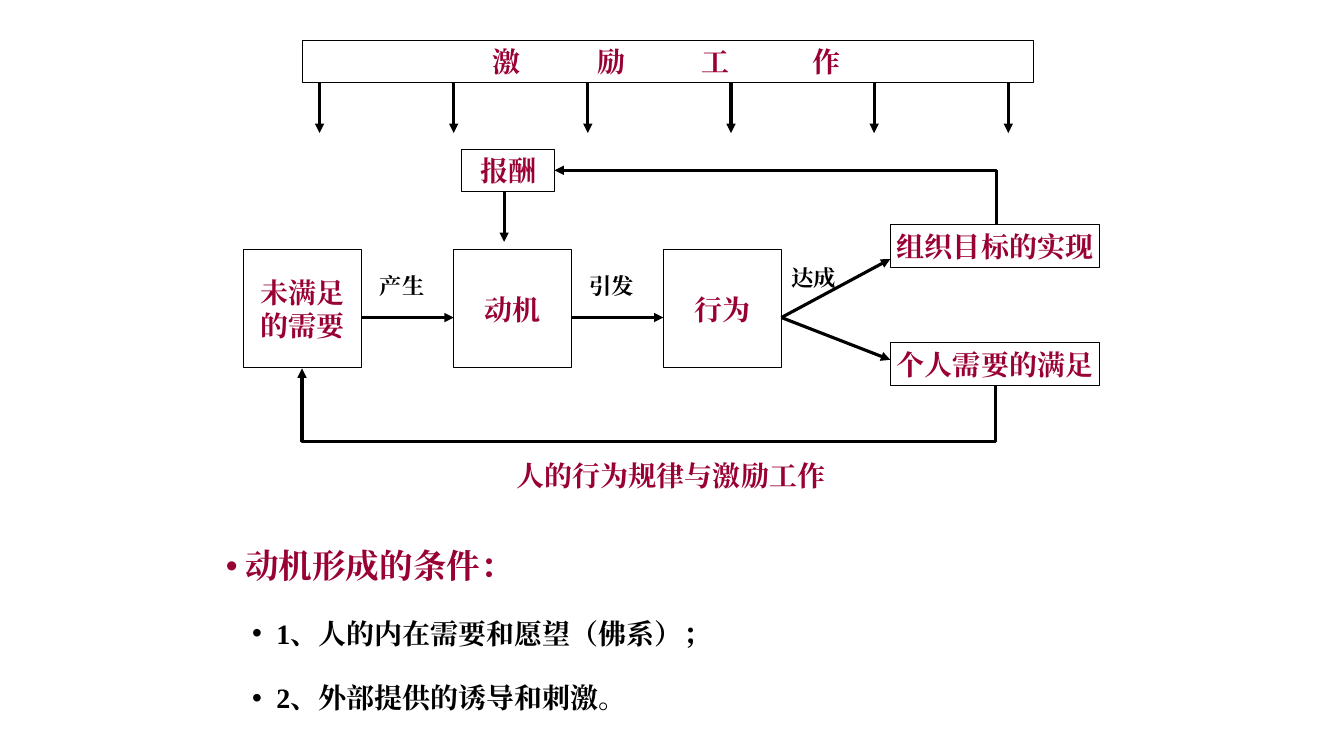
"""Build the slide on behaviour and motivation work."""
from dataclasses import dataclass

from lxml import etree
from pptx import Presentation
from pptx.dml.color import RGBColor
from pptx.enum.shapes import MSO_CONNECTOR, MSO_SHAPE
from pptx.enum.text import MSO_ANCHOR, MSO_AUTO_SIZE, PP_ALIGN
from pptx.oxml.ns import qn
from pptx.util import Inches, Pt

STRAIGHT, ELBOW = MSO_CONNECTOR.STRAIGHT, MSO_CONNECTOR.ELBOW
RECTANGLE = MSO_SHAPE.RECTANGLE
MIDDLE, TOP = MSO_ANCHOR.MIDDLE, MSO_ANCHOR.TOP
CENTER, LEFT = PP_ALIGN.CENTER, PP_ALIGN.LEFT
NO_FIT = MSO_AUTO_SIZE.NONE


@dataclass(frozen=True)
class Theme:
    """Colours, font and type sizes."""
    accent: RGBColor = RGBColor(0x99, 0x00, 0x33)
    ink: RGBColor = RGBColor(0, 0, 0)
    paper: RGBColor = RGBColor(255, 255, 255)
    font: str = "Times New Roman"
    heading: int = 24
    text: int = 20
    label: int = 16
    border: float = 0.75
    arrow: float = 2.25


THEME = Theme()
CAPTION = "人的行为规律与激励工作"
BANNER = "激励工作"
BANNER_TABS = (1.93, 2.97, 4.0, 5.1)
STAGES = ("未满足\n的需要", "动机", "行为")
STAGE_LABELS = ("产生", "引发")
REACH_LABEL = "达成"
OUTCOMES = (("组织目标的实现", 2.23, 2.57), ("个人需要的满足", 3.4, 3.57))
REWARD = "报酬"
CONDITIONS = (
    ("动机形成的条件：", 0, THEME.heading, THEME.accent, 0.19, 0.19),
    ("1、人的内在需要和愿望（佛系）；", 1, THEME.text, THEME.ink, 0.5, 0.24),
    ("2、外部提供的诱导和刺激。", 1, THEME.text, THEME.ink, 0.5, 0.24),
)

STAGE_LEFT, STAGE_TOP, STAGE_SIZE, STAGE_STEP = 2.42, 2.48, 1.17, 2.08
FLOW_Y = 3.15
OUTCOME_LEFT, OUTCOME_WIDTH, BAR_HEIGHT = 8.83, 2.08, 0.42
BANNER_TOP, REWARD_TOP, DROP = 0.4, 1.48, 0.5
DROP_XS = (3.17, 4.5, 5.83, 7.25, 8.67, 10)


def style(paragraph, size, color):
    for run in paragraph.runs:
        run.font.size, run.font.bold, run.font.name = Pt(size), True, THEME.font
        run.font.color.rgb = color
        etree.SubElement(run.font._element, qn("a:ea"), typeface=THEME.font)


def add_box(slide, text, left, top, width, height):
    box = slide.shapes.add_shape(RECTANGLE, *map(Inches, (left, top, width, height)))
    box.shadow.inherit = False
    box.fill.solid()
    box.fill.fore_color.rgb = THEME.paper
    box.line.color.rgb, box.line.width = THEME.ink, Pt(THEME.border)
    frame = box.text_frame
    frame.text, frame.word_wrap, frame.vertical_anchor = text, False, MIDDLE
    for paragraph in frame.paragraphs:
        paragraph.alignment = CENTER
        style(paragraph, THEME.text, THEME.accent)
    return box


def add_banner(slide):
    text = "".join("\t" + character for character in BANNER)
    frame = add_box(slide, text, 3, BANNER_TOP, 7.25, BAR_HEIGHT).text_frame
    frame.word_wrap = True
    frame.paragraphs[0].alignment = LEFT
    properties = frame.paragraphs[0]._p.get_or_add_pPr()
    tabs = etree.SubElement(properties, qn("a:tabLst"))
    for position in BANNER_TABS:
        etree.SubElement(tabs, qn("a:tab"), pos=str(Inches(position)), algn="ctr")


def add_label(slide, text, left, top):
    label = slide.shapes.add_textbox(*map(Inches, (left, top, 0.67, 0.37)))
    label.text_frame.text, label.text_frame.word_wrap = text, True
    style(label.text_frame.paragraphs[0], THEME.label, THEME.ink)


def add_arrow(slide, start, end, kind=STRAIGHT):
    arrow = slide.shapes.add_connector(kind, *map(Inches, (*start, *end)))
    arrow.line.color.rgb, arrow.line.width = THEME.ink, Pt(THEME.arrow)
    line = arrow.line._get_or_add_ln()
    etree.SubElement(line, qn("a:tailEnd"), type="triangle")
    etree.SubElement(arrow.element.spPr, qn("a:effectLst"))
    return arrow


def add_return(slide, left, top, width, height, turn, flip, preset, bend=None):
    arrow = add_arrow(slide, (left, top), (left + width, top + height), ELBOW)
    properties = arrow.element.spPr
    frame = properties.find(qn("a:xfrm"))
    frame.set("rot", str(turn * 60000))
    frame.set(flip, "1")
    geometry = properties.find(qn("a:prstGeom"))
    geometry.set("prst", preset)
    if bend is not None:
        guides = geometry.find(qn("a:avLst"))
        etree.SubElement(guides, qn("a:gd"), name="adj1", fmla=f"val {round(bend * 100000)}")


def place(placeholder, left, top, width, height, anchor):
    placeholder.left, placeholder.top = Inches(left), Inches(top)
    placeholder.width, placeholder.height = Inches(width), Inches(height)
    frame = placeholder.text_frame
    frame.word_wrap, frame.auto_size, frame.vertical_anchor = True, NO_FIT, anchor
    return frame


def fill_conditions(frame):
    frame.text = "\n".join(condition[0] for condition in CONDITIONS)
    for index, (paragraph, condition) in enumerate(zip(frame.paragraphs, CONDITIONS)):
        _, level, size, color, margin, hanging = condition
        paragraph.level, paragraph.line_spacing = level, 1.5
        paragraph.space_before = Pt(10 if index else 0)
        properties = paragraph._p.get_or_add_pPr()
        properties.set("marL", str(Inches(margin)))
        properties.set("indent", str(-Inches(hanging)))
        etree.SubElement(properties, qn("a:buChar"), char="•")
        style(paragraph, size, color)


def add_flow(slide):
    for index, stage in enumerate(STAGES):
        left = STAGE_LEFT + index * STAGE_STEP
        add_box(slide, stage, left, STAGE_TOP, STAGE_SIZE, STAGE_SIZE)
    for index, label in enumerate(STAGE_LABELS):
        left = STAGE_LEFT + index * STAGE_STEP
        add_arrow(slide, (left + STAGE_SIZE, FLOW_Y), (left + STAGE_STEP, FLOW_Y))
        add_label(slide, label, left + 1.25, 2.65)
    for outcome, top, target in OUTCOMES:
        add_box(slide, outcome, OUTCOME_LEFT, top, OUTCOME_WIDTH, BAR_HEIGHT)
        add_arrow(slide, (7.75, FLOW_Y), (OUTCOME_LEFT, target))
    add_label(slide, REACH_LABEL, 7.75, 2.57)


def main():
    deck = Presentation()
    deck.slide_width, deck.slide_height = Inches(13.33), Inches(7.5)
    slide = deck.slides.add_slide(deck.slide_layouts[1])
    add_flow(slide)
    add_banner(slide)
    add_box(slide, REWARD, 4.58, REWARD_TOP, 0.92, BAR_HEIGHT)
    add_return(slide, 6.35, 0.3, 0.17, 6.88, 270, "flipV", "bentConnector3", -3.26)
    add_return(slide, 7.42, -0.23, 0.54, 4.38, 90, "flipH", "bentConnector2")
    drops = [(x, BANNER_TOP + BAR_HEIGHT) for x in DROP_XS] + [(5, REWARD_TOP + BAR_HEIGHT)]
    for x, top in drops:
        add_arrow(slide, (x, top), (x, top + DROP))
    caption = place(slide.shapes.title, 4.32, 4.5, 4.67, 0.43, TOP)
    caption.text = CAPTION
    caption.paragraphs[0].alignment = CENTER
    style(caption.paragraphs[0], THEME.text, THEME.accent)
    fill_conditions(place(slide.placeholders[1], 2.14, 5.16, 8.42, 2.05, TOP))
    deck.save("out.pptx")


if __name__ == "__main__":
    main()
